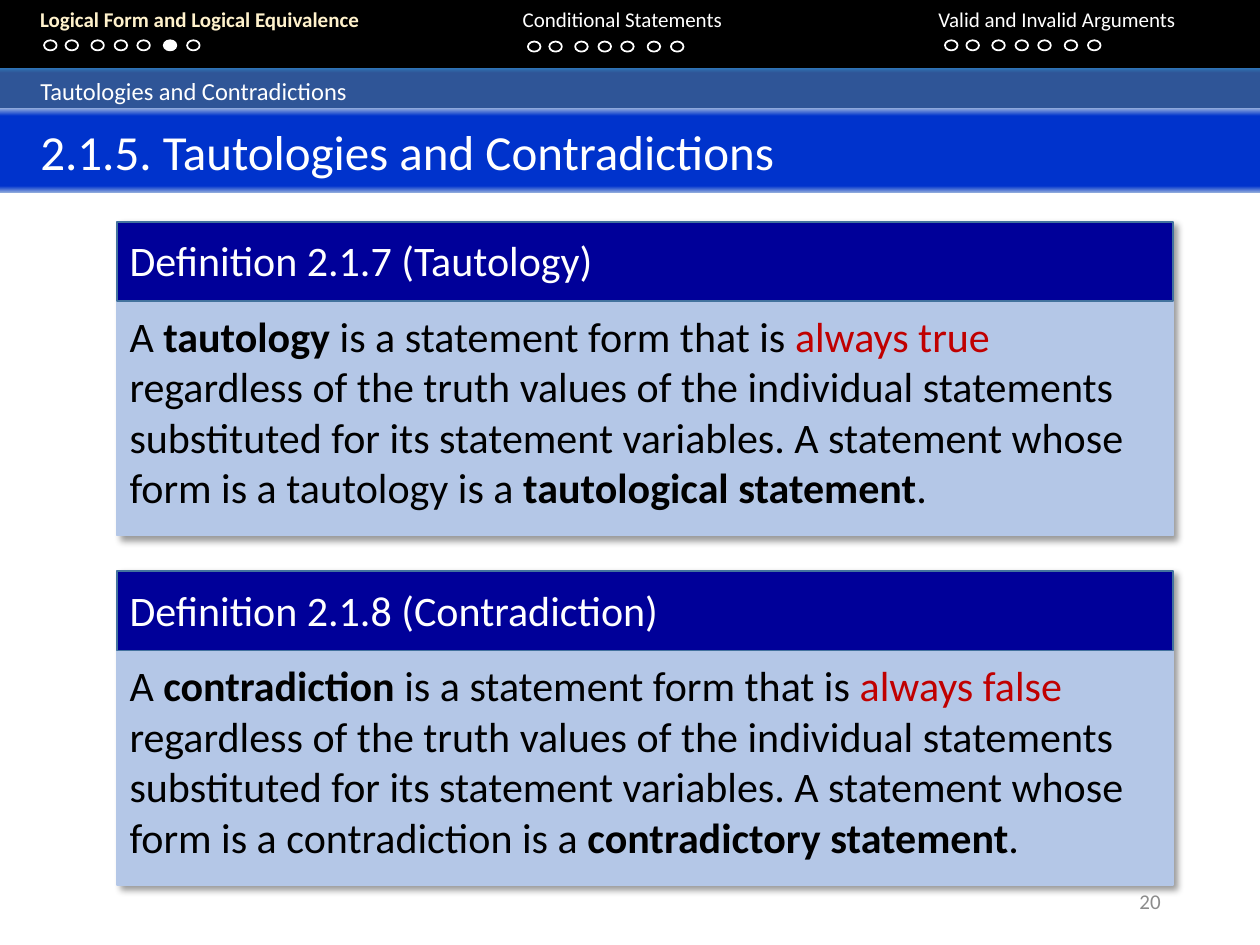
from lxml import etree
from pptx import Presentation
from pptx import util as u
from pptx.dml.color import RGBColor
from pptx.enum import shapes, text
from pptx.oxml import parse_xml
from pptx.oxml.ns import nsdecls, qn

COLORS = {
    "black": "000000", "white": "FFFFFF", "cream": "FFF2CC", "red": "C00000",
    "grey": "8C8C8C", "navy": "000099", "pale": "B4C7E7", "edge": "43739E",
    "band_edge": "2E75B6", "band": "2F5597", "title_edge": "8FAADC", "title": "0033CC",
}

presentation = Presentation()
presentation.slide_width = u.Inches(10)
presentation.slide_height = u.Inches(7.5)
COLUMN = presentation.slide_width / 100
ROW = presentation.slide_height / 100
slide = presentation.slides.add_slide(presentation.slide_layouts[5])


def draw(parent, kind, box, fill=None, line=None):
    left, top, width, height = box
    area = [round(n) for n in (left * COLUMN, top * ROW, width * COLUMN, height * ROW)]
    if kind is None:
        shape = parent.add_textbox(*area)
        shape.text_frame.word_wrap = True
        return shape
    shape = parent.add_shape(kind, *area)
    shape.shadow.inherit = False
    if fill:
        shape.fill.solid()
        shape.fill.fore_color.rgb = RGBColor.from_string(COLORS[fill])
    else:
        shape.fill.background()
    if line:
        shape.line.color.rgb = RGBColor.from_string(COLORS[line])
        shape.line.width = u.Pt(1)
    else:
        shape.line.fill.background()
    return shape


def write(shape, size, *pieces):
    paragraph = shape.text_frame.paragraphs[0]
    paragraph.alignment = text.PP_ALIGN.LEFT
    for words, color, bold in pieces:
        run = paragraph.add_run()
        run.text = words
        run.font.name = "Calibri"
        run.font.size = u.Pt(size)
        run.font.bold = bold
        run.font.color.rgb = RGBColor.from_string(COLORS[color])
    return paragraph


RECTANGLE = shapes.MSO_SHAPE.RECTANGLE
OVAL = shapes.MSO_SHAPE.OVAL

draw(slide.shapes, RECTANGLE, (0, -0.27, 100, 7.47), "black")
navigation = draw(slide.shapes, None, (0, 0, 100, 6.67))
paragraph = write(
    navigation, 12,
    ("\tLogical Form and Logical Equivalence", "cream", True),
    ("\tConditional Statements\tValid and Invalid Arguments", "white", False),
)
tabs = etree.SubElement(paragraph._p.get_or_add_pPr(), qn("a:tabLst"))
for stop in (2.2, 40.5, 73.5):
    etree.SubElement(tabs, qn("a:tab"), pos=str(round(stop * COLUMN)), algn="l")

band = draw(slide.shapes, RECTANGLE, (0, 7.2, 100, 4.8))
write(band, 14, ("Tautologies and Contradictions", "white", False))

title = slide.shapes.title
title.left, title.top = 0, round(11.47 * ROW)
title.width, title.height = presentation.slide_width, round(8.93 * ROW)
write(title, 28, ("2.1.5. Tautologies and Contradictions", "white", False))
band._element.addnext(title._element)

for bar, edge, middle, start, end in (
    (band, "band_edge", "band", 11, 91),
    (title, "title_edge", "title", 9, 92),
):
    bar.text_frame.margin_left = round(3.2 * COLUMN)
    bar.text_frame.vertical_anchor = text.MSO_ANCHOR.MIDDLE
    bar.text_frame.auto_size = text.MSO_AUTO_SIZE.NONE
    stops = "".join(
        f'<a:gs pos="{position * 1000}"><a:srgbClr val="{COLORS[color]}"/></a:gs>'
        for position, color in ((0, edge), (start, middle), (end, middle), (100, edge))
    )
    gradient = parse_xml(
        f'<a:gradFill {nsdecls("a")} rotWithShape="1"><a:gsLst>{stops}</a:gsLst>'
        '<a:lin ang="5400000" scaled="0"/></a:gradFill>'
    )
    bar.fill.background()
    properties = bar._element.spPr
    properties.replace(properties.find(qn("a:noFill")), gradient)

number = draw(slide.shapes, None, (70.6, 92.67, 22.5, 5.33))
number.text_frame.vertical_anchor = text.MSO_ANCHOR.MIDDLE
write(number, 12, ("20", "grey", False)).alignment = text.PP_ALIGN.RIGHT

definitions = (
    ("Definition 2.1.7 (Tautology)", "tautology", "always true", "tautological statement"),
    ("Definition 2.1.8 (Contradiction)", "contradiction", "always false", "contradictory statement"),
)
for index, (heading, term, verdict, statement) in enumerate(definitions):
    top = 23.47 + index * 36.97
    group = slide.shapes.add_group_shape()
    panel = draw(group.shapes, RECTANGLE, (9.3, top, 83.8, 33.2), "pale", "pale")
    effects = panel._element.spPr.find(qn("a:effectLst"))
    effects.append(parse_xml(
        f'<a:outerShdw {nsdecls("a")} blurRad="{u.Pt(4)}" dist="{u.Pt(3)}" dir="2700000" '
        f'algn="tl" rotWithShape="0"><a:srgbClr val="{COLORS["black"]}">'
        '<a:alpha val="40000"/></a:srgbClr></a:outerShdw>'
    ))
    draw(group.shapes, RECTANGLE, (9.3, top, 83.8, 8.4), "navy", "edge")
    caption = draw(group.shapes, None, (9.3, top + 0.73, 82.4, 6.67))
    write(caption, 24, (heading, "white", False))
    body = draw(group.shapes, None, (9.3, top + 8.73, 82.4, 22.93))
    write(
        body, 24,
        ("A ", "black", False),
        (f"{term} ", "black", True),
        ("is a statement form that is ", "black", False),
        (f"{verdict} ", "red", False),
        ("regardless of the truth values of the individual statements substituted for its "
         f"statement variables. A statement whose form is a {term} is a ", "black", False),
        (statement, "black", True),
        (".", "black", False),
    ).space_after = u.Pt(6)

for section, (left, top) in enumerate(((3.5, 4.27), (41.9, 4.4), (75, 4.27))):
    for step, offset in enumerate((0, 1.7, 3.75, 5.6, 7.4, 9.5, 11.35)):
        current = (section, step) == (0, 5)
        draw(slide.shapes, OVAL, (left + offset, top, 1, 1.07), "white" if current else None, "white")

presentation.save("out.pptx")
